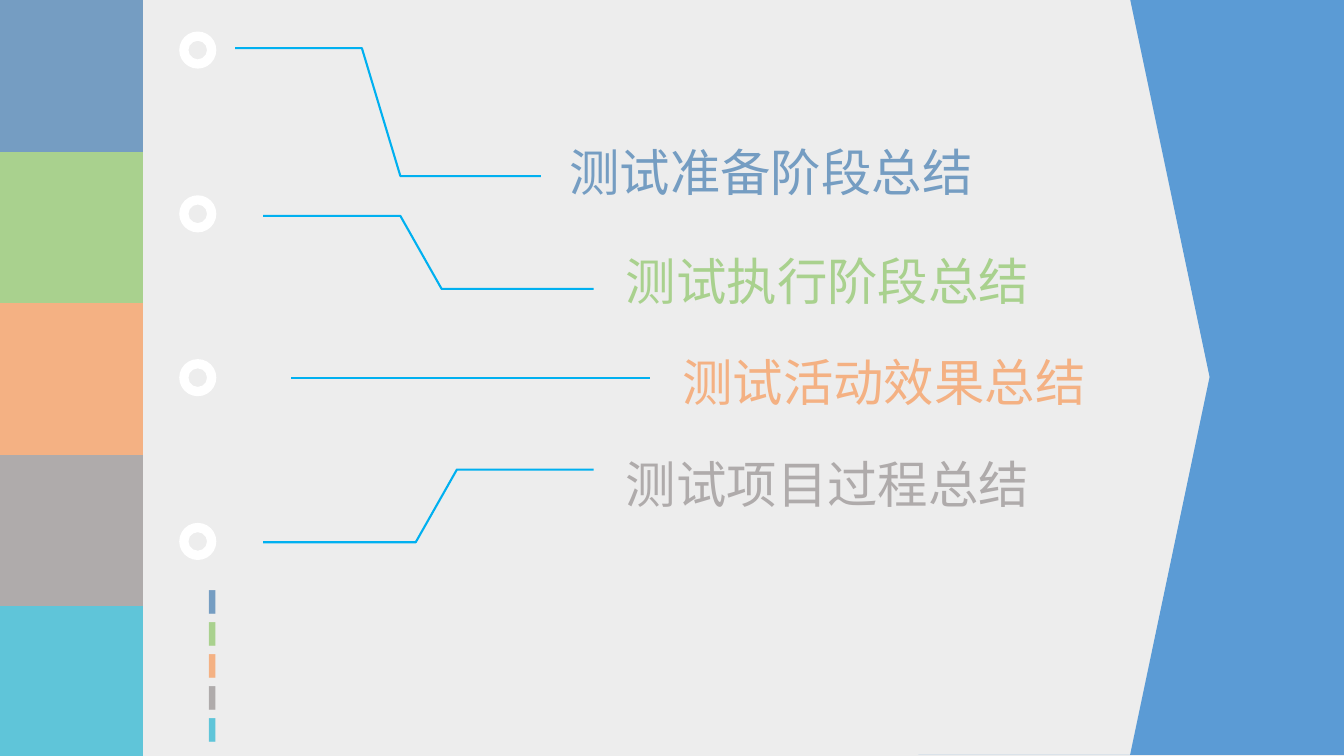
from lxml import etree
from pptx import Presentation
from pptx.dml.color import RGBColor
from pptx.enum import shapes, text
from pptx.oxml import ns
from pptx.util import Pt

BACKGROUND = RGBColor(0xED, 0xED, 0xED)
BLUE = RGBColor(0x75, 0x9D, 0xC2)
GREEN = RGBColor(0xA9, 0xD1, 0x8E)
ORANGE = RGBColor(0xF4, 0xB1, 0x83)
GREY = RGBColor(0xAF, 0xAB, 0xAB)
TEAL = RGBColor(0x5F, 0xC5, 0xD9)
WHITE = RGBColor(0xFF, 0xFF, 0xFF)
LINE_BLUE = RGBColor(0x00, 0xB0, 0xF0)
CHEVRON_BLUE = RGBColor(0x5B, 0x9B, 0xD5)

PALETTE = [BLUE, GREEN, ORANGE, GREY, TEAL]
FONT = "Noto Sans CJK SC"
NO_STYLE = "{2D5ABB26-0587-4C30-8999-92F81FD0307C}"

# Wording, colour, left and top of the label, points of its leader line
TOPICS = [
    ("测试准备阶段总结", BLUE, 399.6, 97.2,
     [(168, 34.4), (258.5, 34.4), (286, 125.8), (386.4, 125.8)]),
    ("测试执行阶段总结", GREEN, 440, 175,
     [(188, 154.2), (286, 154.2), (315.5, 206.4), (424, 206.4)]),
    ("测试活动效果总结", ORANGE, 480.3, 247,
     [(208, 270), (464, 270)]),
    ("测试项目过程总结", GREY, 440, 320.4,
     [(424, 335.4), (326.4, 335.4), (297, 387.3), (188, 387.3)]),
]
RING_LEFT, RING_TOP, RING_STEP, RING_SIZE = 128, 22.5, 117, 26.5

CHEVRON = [(807.2, -0.7), (1746.7, -0.7), (1892.9, 269.3), (1746.7, 539.3),
           (655.9, 539.3), (807.2, 539.3), (864, 269.3)]


def add_colour_column(slide):
    frame = slide.shapes.add_table(len(PALETTE), 1, 0, 0, Pt(102.2), Pt(541.5))
    table = frame.table
    frame._element.find(".//" + ns.qn("a:tableStyleId")).text = NO_STYLE
    for row, colour in enumerate(PALETTE):
        cell = table.cell(row, 0)
        cell.fill.solid()
        cell.fill.fore_color.rgb = colour


def add_text(slide, left, top, width, height, size, runs):
    """Add one line of text, given as (wording, colour) runs."""
    box = slide.shapes.add_textbox(Pt(left), Pt(top), Pt(width), Pt(height))
    box.text_frame.word_wrap = True
    box.text_frame.auto_size = text.MSO_AUTO_SIZE.SHAPE_TO_FIT_TEXT
    for wording, colour in runs:
        run = box.text_frame.paragraphs[0].add_run()
        run.text = wording
        run.font.size = Pt(size)
        run.font.color.rgb = colour
        run.font.name = FONT
        east_asian = etree.SubElement(run.font._element, ns.qn("a:ea"))
        east_asian.set("typeface", FONT)
    return box


def add_ring(group, top):
    ring = group.shapes.add_shape(shapes.MSO_SHAPE.DONUT, Pt(RING_LEFT), Pt(top),
                                  Pt(RING_SIZE), Pt(RING_SIZE))
    ring.shadow.inherit = False
    ring.fill.solid()
    ring.fill.fore_color.rgb = WHITE
    ring.line.fill.background()


def add_outline(parent, points, close):
    (start_x, start_y), *others = [(Pt(x), Pt(y)) for x, y in points]
    builder = parent.shapes.build_freeform(start_x, start_y)
    builder.add_line_segments(others, close=close)
    outline = builder.convert_to_shape()
    outline.shadow.inherit = False
    return outline


def add_leader(group, points):
    """Draw a straight connector for two points, a bent line for more."""
    if len(points) == 2:
        ends = [Pt(value) for point in points for value in point]
        leader = group.shapes.add_connector(shapes.MSO_CONNECTOR.STRAIGHT, *ends)
        etree.SubElement(leader._element.spPr, ns.qn("a:effectLst"))
    else:
        leader = add_outline(group, points, close=False)
        leader.fill.background()
    leader.line.color.rgb = LINE_BLUE
    leader.line.width = Pt(1.5)


def main():
    deck = Presentation()
    deck.slide_width, deck.slide_height = Pt(960), Pt(540)
    slide = deck.slides.add_slide(deck.slide_layouts[6])
    slide.background.fill.solid()
    slide.background.fill.fore_color.rgb = BACKGROUND

    add_colour_column(slide)
    dashes = [("-", colour) for colour in reversed(PALETTE)]
    add_text(slide, -115.2, 216.7, 540, 107.3, 66, dashes).rotation = 270

    for wording, colour, left, top, _ in TOPICS:
        add_text(slide, left, top, 368, 51, 36, [(wording, colour)])
    for index, (*_, points) in enumerate(TOPICS):
        group = slide.shapes.add_group_shape()
        add_ring(group, RING_TOP + index * RING_STEP)
        add_leader(group, points)

    chevron = add_outline(slide, CHEVRON, close=True)
    chevron.fill.solid()
    chevron.fill.fore_color.rgb = CHEVRON_BLUE
    chevron.line.fill.background()
    deck.save("out.pptx")


if __name__ == "__main__":
    main()
